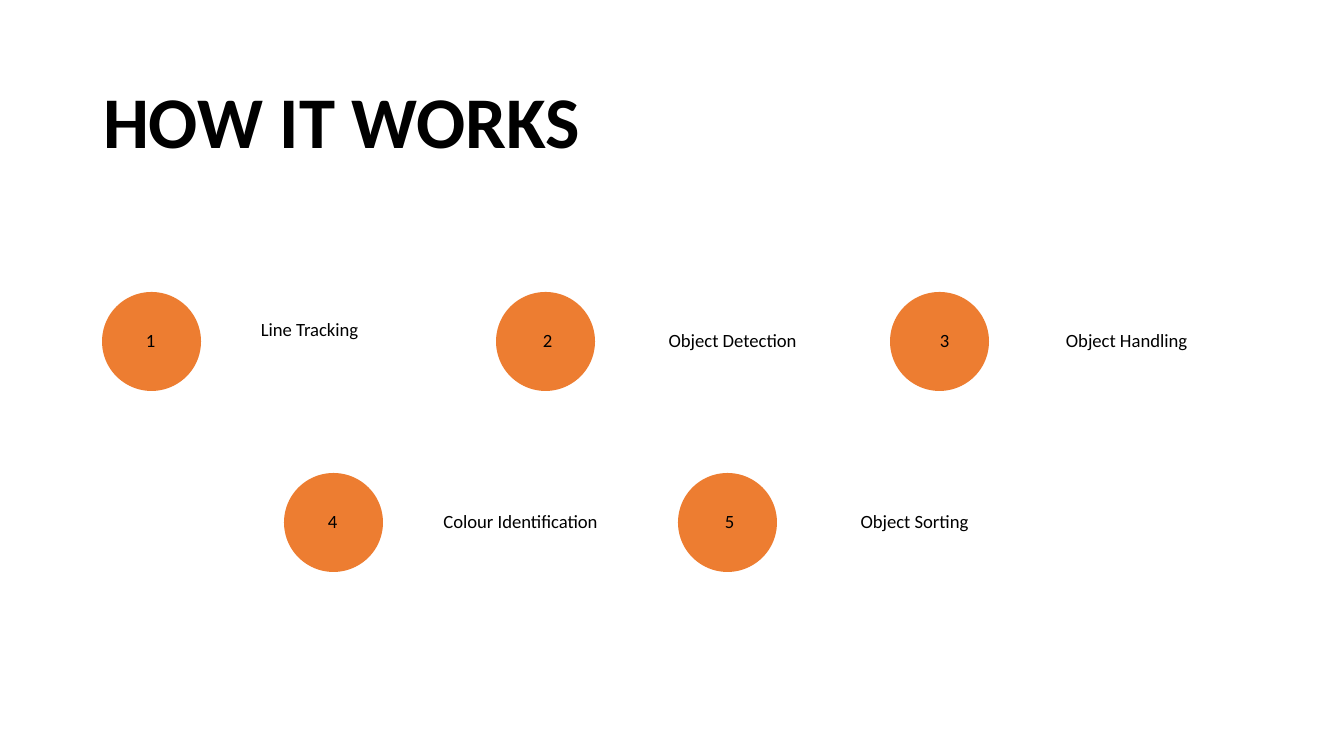
"""Build the "How it works" slide: five numbered steps in two rows."""
import pptx
import pptx.dml.color
import pptx.enum.shapes
import pptx.enum.text
import pptx.util

TITLE = "HOW IT WORKS"
ROWS = [
    {"left": 102, "top": 292, "steps": ["Line Tracking", "Object Detection", "Object Handling"]},
    {"left": 284, "top": 473, "steps": ["Colour Identification", "Object Sorting"]},
]
LABEL_SIZES = {"Line Tracking": (175, 77)}
LABEL_SIZE = (233, 99)
CIRCLE = 99
CIRCLE_PITCH, NUMBER_PITCH = 394, 397
LABEL_OFFSET = 120
NUMBER_OFFSET = (10, 26)
NUMBER_SIZE = (77, 47)
EMU_PER_PX = 914400 / 134.4


def px(length):
    return pptx.util.Emu(round(length * EMU_PER_PX))


def colour(code):
    return pptx.dml.color.RGBColor.from_string(code)


def set_text(box, text, size, bold, align, margins):
    frame = box.text_frame
    frame.text = text
    frame.word_wrap = True
    frame.auto_size = pptx.enum.text.MSO_AUTO_SIZE.NONE
    frame.vertical_anchor = pptx.enum.text.MSO_ANCHOR.MIDDLE
    frame.margin_left = frame.margin_right = px(margins[0])
    frame.margin_top = frame.margin_bottom = px(margins[1])
    para = frame.paragraphs[0]
    para.alignment = align
    para.line_spacing = 0.9
    font = para.runs[0].font
    font.name = "Calibri"
    font.size = pptx.util.Pt(size)
    font.bold = bold
    font.color.rgb = colour("000000")


def add_text(slide, text, left, top, width, height):
    box = slide.shapes.add_textbox(px(left), px(top), px(width), px(height))
    set_text(box, text, 10, False, pptx.enum.text.PP_ALIGN.CENTER, (0, 0))


def add_circle(slide, left, top):
    circle = slide.shapes.add_shape(
        pptx.enum.shapes.MSO_SHAPE.OVAL, px(left), px(top), px(CIRCLE), px(CIRCLE))
    circle.shadow.inherit = False
    circle.fill.solid()
    circle.fill.fore_color.rgb = colour("ED7D31")
    circle.line.fill.background()


def main():
    deck = pptx.Presentation()
    deck.slide_width, deck.slide_height = px(1344), px(756)
    slide = deck.slides.add_slide(deck.slide_layouts[5])
    title = slide.shapes.title
    title.left, title.top, title.width, title.height = px(93), px(62), px(1158), px(125)
    set_text(title, TITLE, 39, True, pptx.enum.text.PP_ALIGN.LEFT, (10, 5))

    number = 0
    for row in ROWS:
        for column, step in enumerate(row["steps"]):
            number += 1
            left, top = row["left"] + column * CIRCLE_PITCH, row["top"]
            add_circle(slide, left, top)
            width, height = LABEL_SIZES.get(step, LABEL_SIZE)
            add_text(slide, step, left + LABEL_OFFSET, top, width, height)
            number_left = row["left"] + NUMBER_OFFSET[0] + column * NUMBER_PITCH
            add_text(slide, str(number), number_left, top + NUMBER_OFFSET[1], *NUMBER_SIZE)
    deck.save("out.pptx")


if __name__ == "__main__":
    main()
